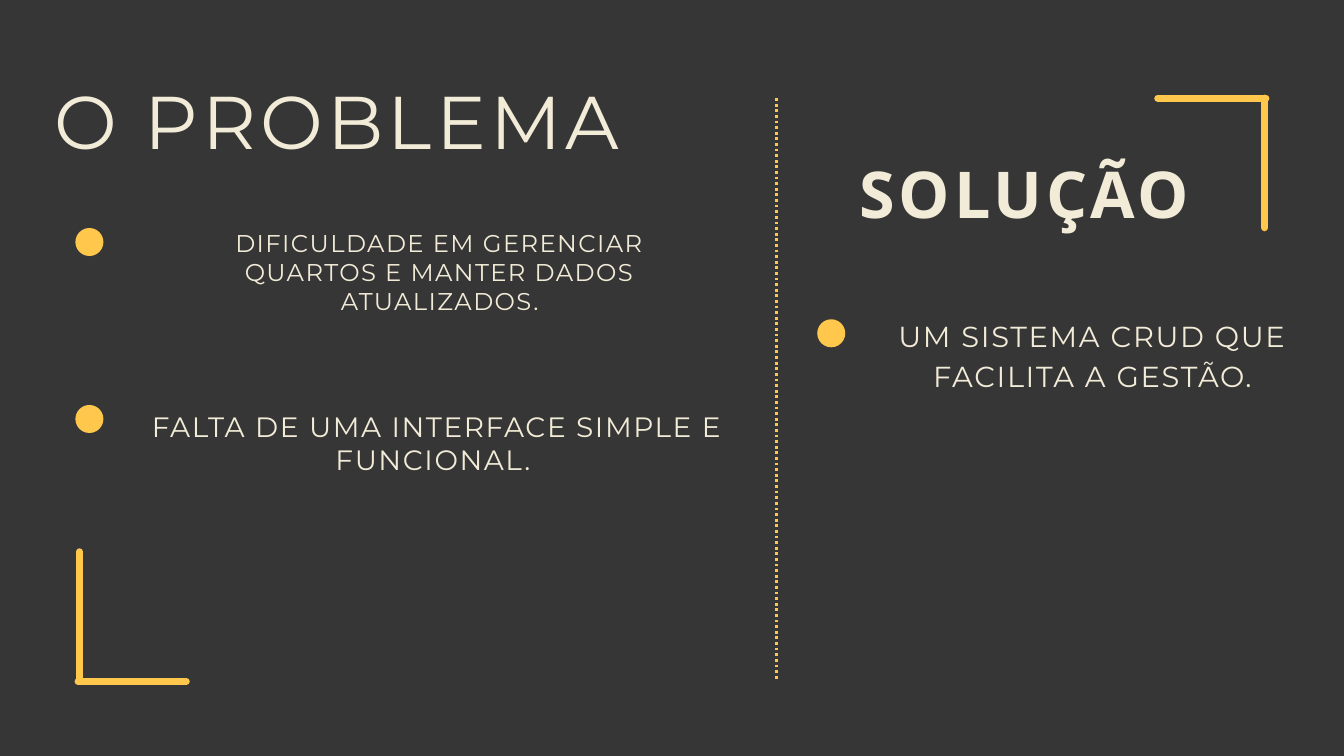
from dataclasses import dataclass

from lxml.etree import SubElement
from pptx import Presentation
from pptx.dml.color import RGBColor
from pptx.enum.dml import MSO_LINE
from pptx.enum.shapes import MSO_CONNECTOR, MSO_SHAPE
from pptx.enum.text import MSO_ANCHOR, PP_ALIGN
from pptx.oxml.ns import qn
from pptx.util import Cm, Pt


@dataclass(frozen=True)
class Theme:
    background: RGBColor = RGBColor(0x36, 0x36, 0x36)
    accent: RGBColor = RGBColor(0xFF, 0xC7, 0x4B)
    text: RGBColor = RGBColor(0xF2, 0xEB, 0xD7)
    body_font: str = "Montserrat"
    bold_font: str = "Open Sans"
    problem_title: float = 80
    solution_title: float = 69.2
    first_problem: float = 26
    second_problem: float = 30
    solution: float = 31
    frame_line: float = 7.5
    divider_line: float = 3


def write_text(frame, text, *, font, size, color, leading, tracking, bold=False):
    """Write one centred paragraph; leading and tracking are in points."""
    para = frame.paragraphs[0]
    para.alignment = PP_ALIGN.CENTER
    para.line_spacing = Pt(leading)
    span = para.add_run()
    span.text = text
    span.font.name = font
    span.font.size = Pt(size)
    span.font.bold = bold
    span.font.color.rgb = color
    span.font._element.set("spc", str(round(tracking * 100)))


class SlideBuilder:
    def __init__(self, slide, theme):
        self.slide = slide
        self.theme = theme
        fill = slide.background.fill
        fill.solid()
        fill.fore_color.rgb = theme.background

    def text(self, text, left, top, width, height, **style):
        box = self.slide.shapes.add_textbox(Cm(left), Cm(top), Cm(width), Cm(height))
        frame = box.text_frame
        frame.word_wrap = True
        frame.vertical_anchor = MSO_ANCHOR.TOP
        frame.margin_left = frame.margin_right = 0
        frame.margin_top = frame.margin_bottom = 0
        style = {"font": self.theme.body_font, "color": self.theme.text} | style
        write_text(frame, text, **style)

    def dot(self, left, top, size=1.06):
        shape = self.slide.shapes.add_shape(
            MSO_SHAPE.OVAL, Cm(left), Cm(top), Cm(size), Cm(size))
        shape.shadow.inherit = False
        shape.fill.solid()
        shape.fill.fore_color.rgb = self.theme.accent
        shape.line.fill.background()

    def line(self, start, end, weight, dash=None, cap="flat"):
        points = [Cm(value) for value in (*start, *end)]
        connector = self.slide.shapes.add_connector(MSO_CONNECTOR.STRAIGHT, *points)
        connector.line.color.rgb = self.theme.accent
        connector.line.width = Pt(weight)
        if dash:
            connector.line.dash_style = dash
        connector.line._get_or_add_ln().set("cap", cap)
        SubElement(connector._element.spPr, qn("a:effectLst"))

    def corner(self, x, y, direction):
        """Draw a frame corner: 1 opens up and right, -1 down and left."""
        weight = self.theme.frame_line
        self.line((x, y - 4.9 * direction), (x, y), weight, cap="rnd")
        self.line((x - 0.05 * direction, y), (x + 4.04 * direction, y), weight, cap="rnd")


def main():
    deck = Presentation()
    deck.slide_width, deck.slide_height = Cm(50.8), Cm(28.58)
    theme = Theme()
    page = SlideBuilder(deck.slides.add_slide(deck.slide_layouts[6]), theme)

    for left, top in ((2.85, 8.62), (2.85, 15.31), (30.89, 12.07)):
        page.dot(left, top)
    page.corner(3, 25.76, 1)
    page.corner(47.8, 3.71, -1)
    page.line((29.36, 3.71), (29.36, 25.7), theme.divider_line, MSO_LINE.ROUND_DOT)

    page.text("O PROBLEMA ", -9.35, 2.82, 45.09, 3.4,
              size=theme.problem_title, leading=96, tracking=4.6)
    page.text("DIFICULDADE EM GERENCIAR QUARTOS E MANTER DADOS ATUALIZADOS.",
              6.35, 8.61, 20.55, 3.25,
              size=theme.first_problem, leading=31.2, tracking=1.5)
    page.text(" FALTA DE UMA INTERFACE SIMPLE E FUNCIONAL.", 4.9, 15.47, 22.94, 2.57,
              size=theme.second_problem, leading=36, tracking=1.7)
    page.text("SOLUÇÃO ", 32.39, 5.33, 13.46, 3.28, font=theme.bold_font, bold=True,
              size=theme.solution_title, leading=96.9, tracking=4)
    page.text("UM SISTEMA CRUD QUE FACILITA A GESTÃO.", 31.8, 11.81, 19, 2.97,
              size=theme.solution, leading=43.4, tracking=1.8)

    deck.save("out.pptx")


if __name__ == "__main__":
    main()
